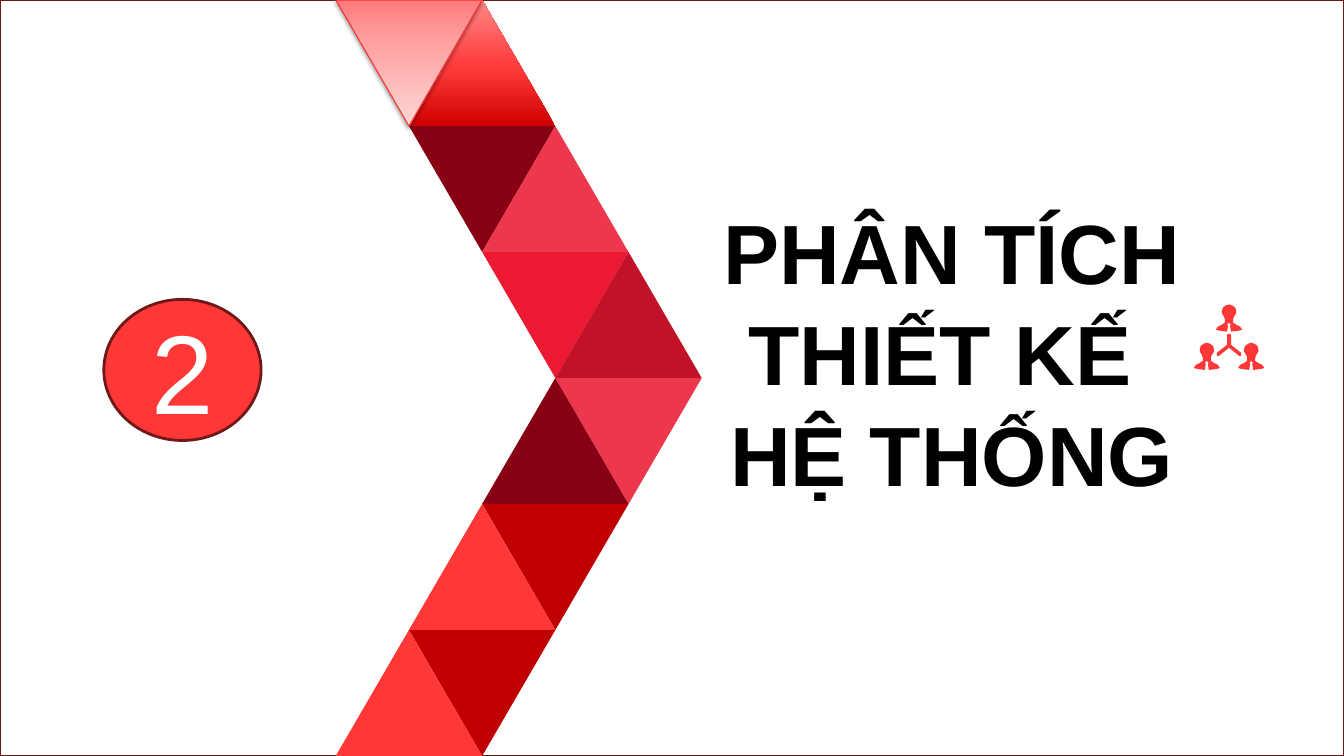
import pptx
import pptx.util
import pptx.dml.color
import pptx.enum.shapes
import pptx.enum.text
import lxml.etree
from dataclasses import dataclass

Inches, Pt = pptx.util.Inches, pptx.util.Pt
RGB = pptx.dml.color.RGBColor.from_string
SHAPE = pptx.enum.shapes.MSO_SHAPE
A = "{http://schemas.openxmlformats.org/drawingml/2006/main}"


@dataclass(frozen=True)
class Theme:
    """Colours, font and type sizes of the slide."""
    font: str = "Arial"
    title_size: int = 60
    number_size: int = 80
    paper: str = "FFFFFF"
    ink: str = "000000"
    edge: str = "701818"
    red: str = "FF3737"
    dark: str = "880014"
    rose: str = "ED374D"
    crimson: str = "EB1932"
    ruby: str = "C21227"
    brick: str = "C00000"
    pale_edge: str = "FD3030"
    deep_blend: tuple = ((0, "CF0000"), (48, "FF3C3C"), (100, "FF8787"))
    pale_blend: tuple = ((0, "FF7A7B"), (35, "FFA3A3"), (100, "FFD6D6"))


T = Theme()
TRIANGLES = [
    (0, 1, T.deep_blend), (1, 1, T.dark), (0, 0, T.pale_blend), (1, 2, T.rose),
    (2, 2, T.crimson), (2, 3, T.ruby), (3, 3, T.rose), (3, 2, T.dark),
    (4, 2, T.brick), (4, 1, T.red), (5, 1, T.brick), (5, 0, T.red),
]
HALF_PERSON = [
    (0, 0), (0.03, 0.01), (0.06, 0.03), (0.07, 0.06), (0.07, 0.09), (0.05, 0.12),
    (0.04, 0.15), (0.04, 0.18), (0.07, 0.2), (0.11, 0.22), (0.13, 0.25),
    (0.1, 0.26), (0.02, 0.27), (0.01, 0.21), (0.02, 0.2), (0, 0.18),
]
HALF_LINK = [(0, 0), (0.02, 0.01), (0.02, 0.11), (0.12, 0.19), (0.12, 0.22),
             (0.1, 0.22), (0, 0.14)]


def add_blend(fill, stops):
    """Fill with colour stops that run from bottom to top."""
    fill.gradient()
    fill.gradient_angle = 90
    gs_list = fill._xPr.find(f"{A}gradFill/{A}gsLst")
    gs_list[:] = []
    for pos, color in stops:
        gs = lxml.etree.SubElement(gs_list, A + "gs", pos=str(pos * 1000))
        lxml.etree.SubElement(gs, A + "srgbClr", val=color)


def add_shadow(sp):
    """Give a shape a soft shadow that falls straight down."""
    effects = sp._element.spPr.find(A + "effectLst")
    shadow = lxml.etree.SubElement(
        effects, A + "outerShdw", blurRad=str(Pt(3.1)), dist=str(Pt(1.6)),
        dir="5400000", rotWithShape="0")
    color = lxml.etree.SubElement(shadow, A + "srgbClr", val=T.ink)
    lxml.etree.SubElement(color, A + "alpha", val="37000")


def paint(sp, fill, line=None, width=2):
    """Set the fill and outline of a shape."""
    sp.shadow.inherit = False
    if isinstance(fill, str):
        sp.fill.solid()
        sp.fill.fore_color.rgb = RGB(fill)
    else:
        add_blend(sp.fill, fill)
    if line:
        sp.line.color.rgb = RGB(line)
        sp.line.width = Pt(width)
    else:
        sp.line.fill.background()


def add_shape(s, kind, x, y, w, h, fill, line=None, width=2):
    """Add a painted preset shape."""
    sp = s.shapes.add_shape(kind, Inches(x), Inches(y), Inches(w), Inches(h))
    paint(sp, fill, line, width)
    return sp


def add_run(p, text, size, color, bold=False):
    """Add one run to a centred paragraph."""
    p.alignment = pptx.enum.text.PP_ALIGN.CENTER
    r = p.add_run()
    r.text = text
    r.font.name, r.font.size, r.font.bold = T.font, Pt(size), bold
    r.font.color.rgb = RGB(color)


def chevron(s, x, y, w, h):
    """Place the triangles of the chevron on a grid of half-width steps."""
    side, row_h = w * 2 / 5, h / 6
    for row, col, fill in TRIANGLES:
        pale = fill == T.pale_blend
        sp = add_shape(s, SHAPE.ISOSCELES_TRIANGLE, x + col * side / 2, y + row * row_h,
                       side, row_h, fill, T.pale_edge if pale else None, 0.75)
        if (row + col) % 2 == 0:
            sp.rotation = 180
        if pale:
            add_shadow(sp)


def title(s, x, y, w, h, lines):
    """Place the section title."""
    tf = s.shapes.add_textbox(Inches(x), Inches(y), Inches(w), Inches(h)).text_frame
    tf.word_wrap = True
    tf.auto_size = pptx.enum.text.MSO_AUTO_SIZE.SHAPE_TO_FIT_TEXT
    for i, line in enumerate(lines):
        p = tf.add_paragraph() if i else tf.paragraphs[0]
        add_run(p, line, T.title_size, T.ink, True)


def team_icon(s, x, y, w):
    """Draw three people joined by a three-way link as one outline."""
    mid = x + w / 2
    parts = [(HALF_PERSON, mid, y), (HALF_PERSON, x + 0.13, y + 0.38),
             (HALF_PERSON, x + w - 0.13, y + 0.38), (HALF_LINK, mid, y + 0.29)]
    fb = None
    for half, cx, top in parts:
        outline = half + [(-dx, dy) for dx, dy in half[-2:0:-1]]
        pts = [(Inches(cx + dx), Inches(top + dy)) for dx, dy in outline]
        if fb is None:
            fb = s.shapes.build_freeform(*pts[0])
        else:
            fb.move_to(*pts[0])
        fb.add_line_segments(pts[1:], close=True)
    paint(fb.convert_to_shape(), T.red)


def number_badge(s, x, y, w, h, number):
    """Place the section number in an ellipse."""
    sp = add_shape(s, SHAPE.OVAL, x, y, w, h, T.red, T.edge)
    tf = sp.text_frame
    tf.vertical_anchor = pptx.enum.text.MSO_ANCHOR.MIDDLE
    add_run(tf.paragraphs[0], number, T.number_size, T.paper)


def section_slide(prs):
    """Build the section slide."""
    s = prs.slides.add_slide(prs.slide_layouts[6])
    add_shape(s, SHAPE.RECTANGLE, 0, 0, 13.33, 7.5, T.paper, T.edge)
    chevron(s, 3.33, 0, 3.63, 7.5)
    title(s, 6.44, 1.94, 6, 3.13, ["PHÂN TÍCH THIẾT KẾ ", "HỆ THỐNG"])
    team_icon(s, 11.84, 3.02, 0.7)
    number_badge(s, 1.03, 2.97, 1.56, 1.4, "2")


def main():
    """Create and save the presentation."""
    prs = pptx.Presentation()
    prs.slide_width, prs.slide_height = Inches(13.33), Inches(7.5)
    section_slide(prs)
    prs.save("out.pptx")


if __name__ == "__main__":
    main()
